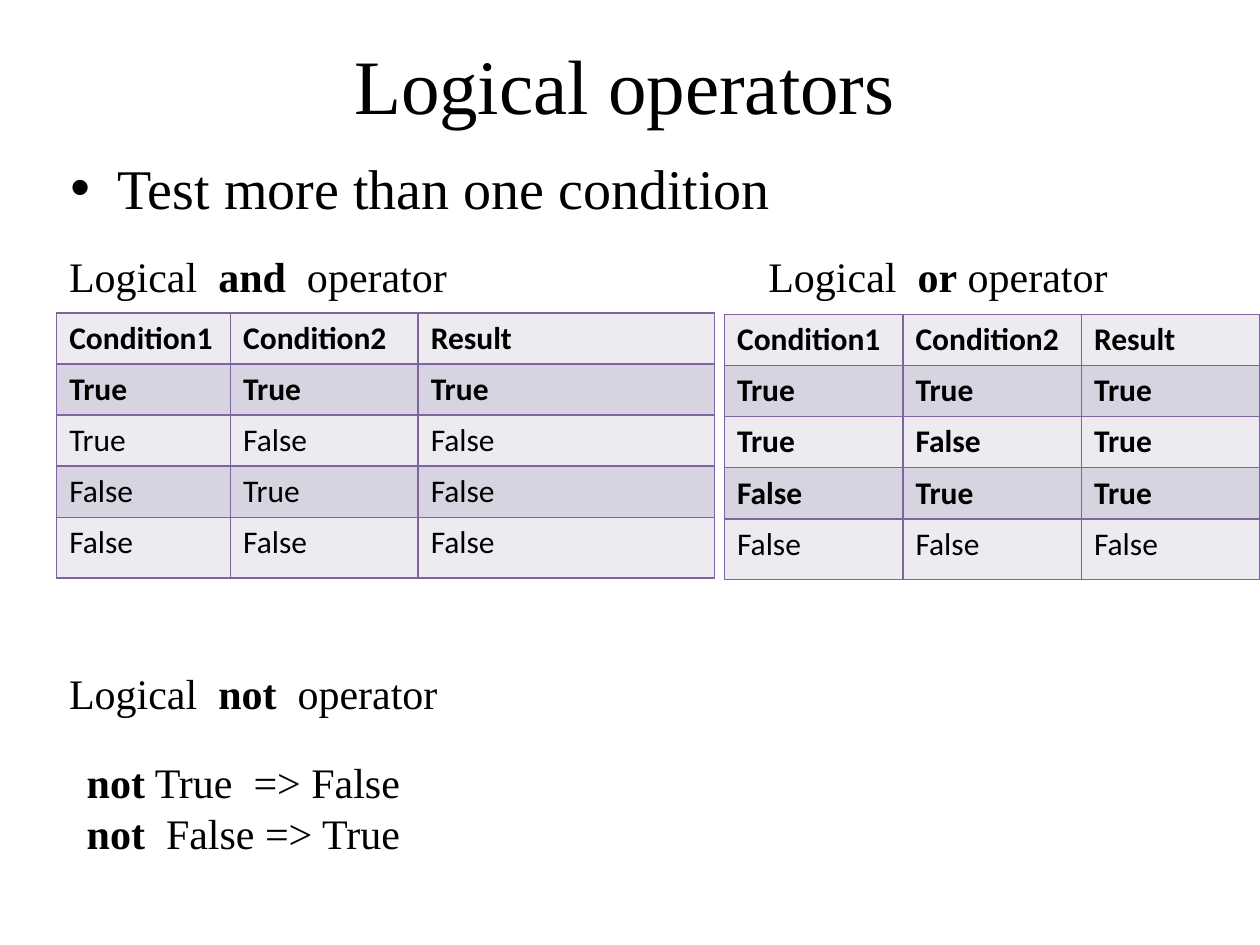
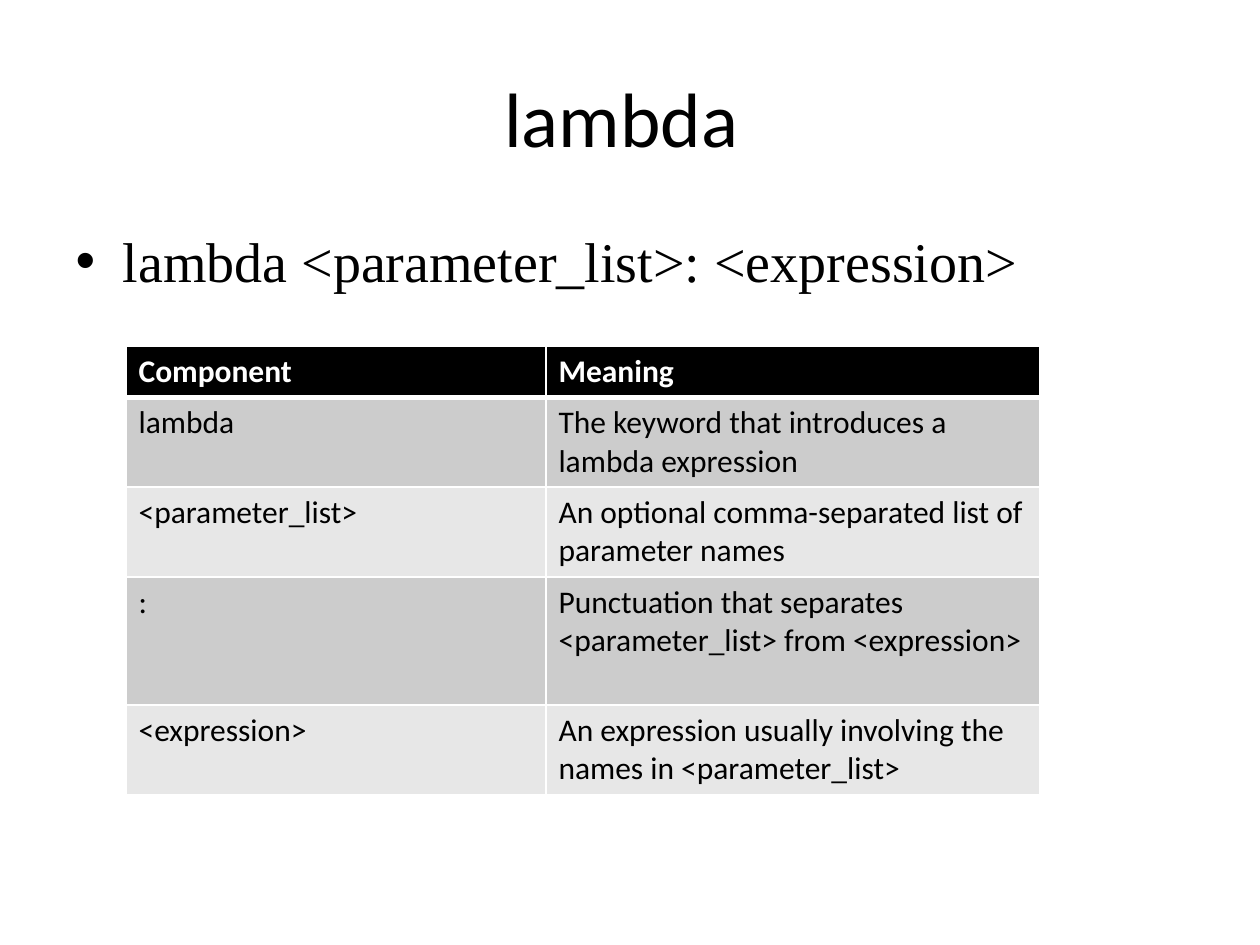
from lxml import etree
from pptx import Presentation
from pptx.dml.color import RGBColor
from pptx.enum.text import MSO_ANCHOR
from pptx.oxml.ns import qn
from pptx.util import Pt

BLACK = RGBColor(0x00, 0x00, 0x00)
WHITE = RGBColor(0xFF, 0xFF, 0xFF)
PURPLE = RGBColor(0x80, 0x64, 0xA2)
PALE_PURPLE = RGBColor(0xED, 0xEA, 0xF0)
LIGHT_PURPLE = RGBColor(0xD8, 0xD3, 0xE0)
GREY = RGBColor(0xCC, 0xCC, 0xCC)
PALE_GREY = RGBColor(0xE7, 0xE7, 0xE7)

SERIF = "Times New Roman"
SANS = "Calibri"
BOTTOM = MSO_ANCHOR.BOTTOM

# Table cells: 18 pt text, line height and the margins above and below it
LINE_HEIGHT = 22
CELL_MARGINS = 7.2
ONE_LINE = LINE_HEIGHT + CELL_MARGINS

CONDITIONS = [("True", "True"), ("True", "False"), ("False", "True"), ("False", "False")]
COMPONENTS = [
    ("Component", "Meaning"),
    ("lambda", "The keyword that introduces a lambda expression"),
    ("<parameter_list>", "An optional comma-separated list of parameter names"),
    (":", "Punctuation that separates <parameter_list> from <expression>"),
    ("<expression>", "An expression usually involving the names in <parameter_list>"),
]
MEANING_LINES = [1, 2, 2, 3, 2]


def style_font(font, name, size, color=BLACK, bold=False):
    font.name = name
    font.size = Pt(size)
    font.color.rgb = color
    font.bold = bold


def place(shape, left, top, width, height):
    shape.left, shape.top = Pt(left), Pt(top)
    shape.width, shape.height = Pt(width), Pt(height)


def add_page(deck, title, title_font, bullet, left, title_top, body_top):
    """Add a page with a centred title and one bullet."""
    page = deck.slides.add_slide(deck.slide_layouts[1])
    heading, body = page.placeholders
    contents = [
        (heading, title, title_font, 44, title_top, 90),
        (body, bullet, SERIF, 32, body_top, 356.4),
    ]
    for holder, text, font_name, size, top, height in contents:
        place(holder, left, top, 648, height)
        holder.text_frame.text = text
        style_font(holder.text_frame.paragraphs[0].font, font_name, size)
    return page


def add_text(page, left, top, width, lines):
    """Add a text box; each line is a list of (text, bold) spans."""
    box = page.shapes.add_textbox(Pt(left), Pt(top), Pt(width), Pt(7.2 + 29 * len(lines)))
    frame = box.text_frame
    frame.word_wrap = True
    for index, spans in enumerate(lines):
        para = frame.add_paragraph() if index else frame.paragraphs[0]
        style_font(para.font, SERIF, 24)
        for text, bold in spans:
            span = para.add_run()
            span.text = text
            span.font.bold = bold


def add_operator_label(page, left, top, before, operator, after):
    add_text(page, left, top, 288, [[(before, False), (operator, True), (after, False)]])


def set_borders(cell, color, top=1, bottom=1):
    properties = cell._tc.get_or_add_tcPr()
    for side, width in (("L", 1), ("R", 1), ("T", top), ("B", bottom)):
        line = etree.SubElement(properties, qn(f"a:ln{side}"), w=str(Pt(width)))
        fill = etree.SubElement(line, qn("a:solidFill"))
        etree.SubElement(fill, qn("a:srgbClr"), val=str(color))


def add_table(page, left, top, widths, heights, rows, bands, border,
              bold_rows=1, dark_header=False):
    frame = page.shapes.add_table(len(rows), len(widths), Pt(left), Pt(top),
                                  Pt(sum(widths)), Pt(sum(heights)))
    table = frame.table
    table.first_row = table.horz_banding = False
    for column, width in zip(table.columns, widths):
        column.width = Pt(width)
    for index, (row, height, texts) in enumerate(zip(table.rows, heights, rows)):
        row.height = Pt(height)
        header = dark_header and index == 0
        for cell, text in zip(row.cells, texts):
            set_borders(cell, border,
                        top=3 if dark_header and index == 1 else 1,
                        bottom=3 if header else 1)
            cell.fill.solid()
            cell.fill.fore_color.rgb = BLACK if header else bands[index % 2]
            if header:
                cell.vertical_anchor = BOTTOM
            cell.text = text
            style_font(cell.text_frame.paragraphs[0].font, SANS, 18,
                       WHITE if header else BLACK, index < bold_rows)


def add_truth_table(page, left, top, widths, results, bold_rows):
    rows = [("Condition1", "Condition2", "Result")]
    rows += [(*pair, result) for pair, result in zip(CONDITIONS, results)]
    add_table(page, left, top, widths, [ONE_LINE] * 4 + [34.8], rows,
              (PALE_PURPLE, LIGHT_PURPLE), PURPLE, bold_rows)


def build_operators_page(deck):
    page = add_page(deck, "Logical operators", SERIF, "Test more than one condition",
                    left=33, title_top=3, body_top=84)
    # Truth tables
    add_truth_table(page, 32.4, 178.8, [99.4, 107.2, 169.2],
                    ["True", "False", "False", "False"], bold_rows=2)
    add_truth_table(page, 414, 179.7, [102] * 3,
                    ["True", "True", "True", "False"], bold_rows=4)
    # Operator labels
    add_operator_label(page, 32.4, 139.7, "Logical  ", "and", "  operator")
    add_operator_label(page, 432, 139.7, "Logical  ", "or", " operator")
    add_operator_label(page, 32.4, 378, "Logical  ", "not", "  operator")
    # Negation rules
    add_text(page, 42.5, 429, 302, [
        [("not", True), (" True  => False", False)],
        [("not", True), ("  False => True", False)],
    ])


def build_lambda_page(deck):
    page = add_page(deck, "lambda ", SANS, "lambda <parameter_list>: <expression>",
                    left=36, title_top=21.6, body_top=126)
    heights = [LINE_HEIGHT * lines + CELL_MARGINS for lines in MEANING_LINES]
    add_table(page, 72, 198, [240, 282], heights, COMPONENTS,
              (PALE_GREY, GREY), WHITE, dark_header=True)


def main():
    deck = Presentation()
    deck.slide_width, deck.slide_height = Pt(720), Pt(540)
    build_operators_page(deck)
    build_lambda_page(deck)
    deck.save("out.pptx")


if __name__ == "__main__":
    main()
